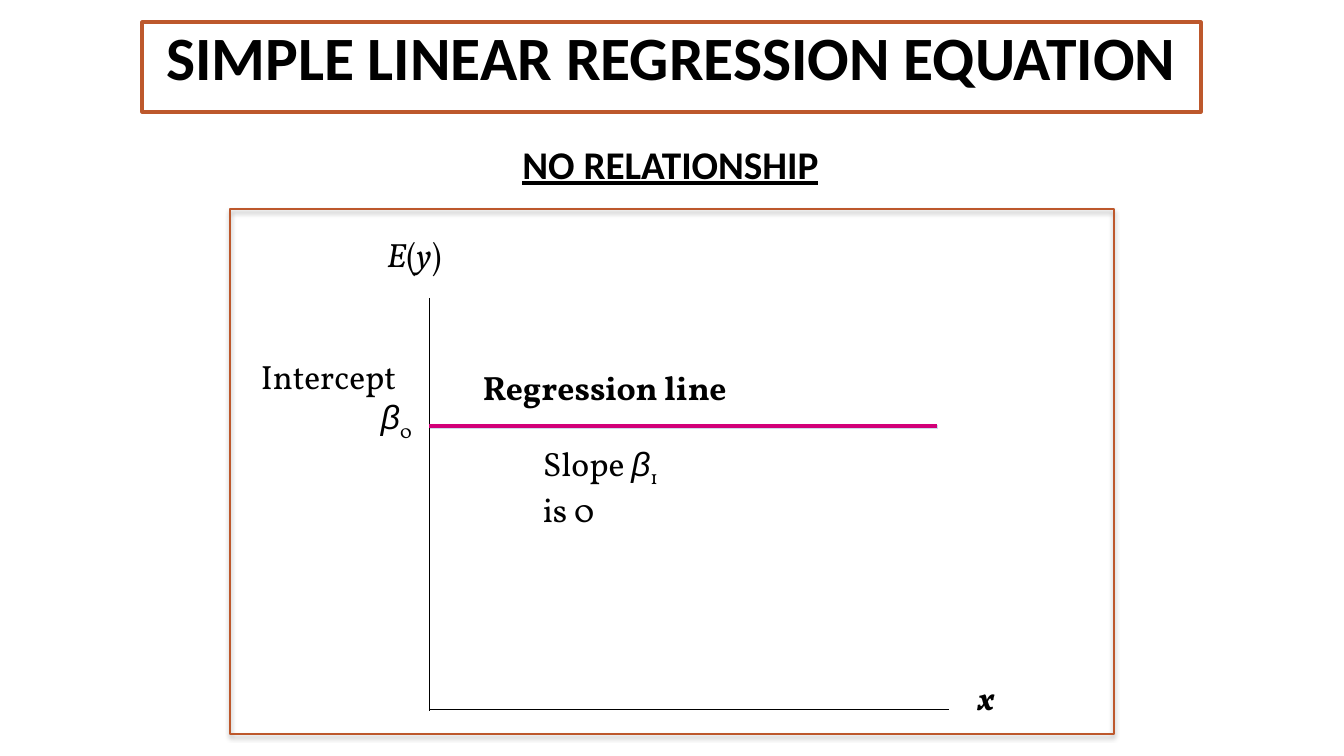
from pptx import Presentation
from pptx.dml.color import RGBColor as Rgb
from pptx.enum.shapes import MSO_CONNECTOR as Conn, MSO_SHAPE as Kind
from pptx.enum.text import MSO_ANCHOR as Anchor, MSO_AUTO_SIZE as Fit, PP_ALIGN as Align
from pptx.oxml import parse_xml
from pptx.oxml.ns import nsdecls
from pptx.util import Pt

WIDE, HIGH = 1344, 756
PX = 12192000 / WIDE
HEX = {"ink": "000000", "frame": "BD582C", "trend": "D20078", "shade": "CCDDEA"}

# Run formats
BODY = {"name": "Vollkorn", "size": Pt(24)}
SLANT = {**BODY, "italic": True}
BOLD = {**BODY, "bold": True}
GREEK = {**SLANT, "name": "Arial"}
SUB = {**BODY, "sub": True}
HEAD = {"name": "Calibri", "size": Pt(44), "bold": True}
SUBHEAD = {**HEAD, "size": Pt(28), "underline": True}


def emu(*nums):
    return [round(n * PX) for n in nums]


def shade(shape, tint=None, alpha=100, blur=0, dist=0, angle=0):
    """Set the shadow; with no tint, clear it."""
    inner = ""
    if tint:
        inner = (f'<a:outerShdw blurRad="{Pt(blur)}" dist="{Pt(dist)}" '
                 f'dir="{angle * 60000}" algn="tl" rotWithShape="0">'
                 f'<a:srgbClr val="{HEX[tint]}"><a:alpha val="{alpha * 1000}"/>'
                 '</a:srgbClr></a:outerShdw>')
    shape._element.spPr.append(
        parse_xml(f'<a:effectLst {nsdecls("a")}>{inner}</a:effectLst>'))


def edge(shape, color, width):
    shape.line.color.rgb = Rgb.from_string(HEX[color])
    shape.line.width = Pt(width)


def write(shape, lines, **frame):
    """Fill a shape with lines, each a list of (words, format) runs."""
    text = shape.text_frame
    for key, value in frame.items():
        setattr(text, key, value)
    for i, runs in enumerate(lines):
        para = text.add_paragraph() if i else text.paragraphs[0]
        for words, form in runs:
            run = para.add_run()
            run.text = words
            run.font.color.rgb = Rgb.from_string(HEX["ink"])
            for key, value in form.items():
                if key == "sub":
                    run._r.get_or_add_rPr().set("baseline", "-25000")
                else:
                    setattr(run.font, key, value)
    return text.paragraphs


def label(parts, box, lines, wrap=True):
    shape = parts.add_textbox(*emu(*box))
    return write(shape, lines, word_wrap=wrap, auto_size=Fit.SHAPE_TO_FIT_TEXT)


def rule(parts, start, end, color, width, **shadow):
    line = parts.add_connector(Conn.STRAIGHT, *emu(*start, *end))
    edge(line, color, width)
    shade(line, **shadow)


def header(slide, x, y, w, h):
    # Framed title
    title = slide.shapes.title
    title.left, title.top, title.width, title.height = emu(x, y, w, h)
    title.fill.background()
    edge(title, "frame", 2.25)
    para = write(title, [[("SIMPLE LINEAR REGRESSION EQUATION", HEAD)]],
                 vertical_anchor=Anchor.TOP, auto_size=Fit.NONE)[0]
    para.alignment, para.line_spacing = Align.CENTER, 0.9

    # Subtitle
    para = label(slide.shapes, (x + 18, y + 113, w - 38, 57),
                 [[("NO RELATIONSHIP", SUBHEAD)]])[0]
    para.alignment = Align.CENTER


def graph(slide, x, y, w, h):
    # Panel
    shapes = slide.shapes
    panel = shapes.add_shape(Kind.RECTANGLE, *emu(x, y, w, h))
    panel.fill.background()
    edge(panel, "frame", 1.5)
    shade(panel, "ink", 32, 3.5, 2.2, 90)

    # Axes with their names
    left, base, level = x + 199, y + 500, y + 217
    axes = shapes.add_group_shape().shapes
    rule(axes, (left, y + 89), (left, base + 2), "ink", 0.5)
    label(axes, (left - 52, y + 20, 113, 61),
          [[("E", SLANT), ("(", BODY), ("y", SLANT), (")", BODY)]], False)
    rule(axes, (left + 520, base), (left, base), "ink", 0.5)
    label(axes, (left + 539, base - 37, 52, 61),
          [[("x", {**SLANT, "bold": True})]], False)

    # Regression line
    rule(shapes, (left, level), (left + 508, level), "trend", 3,
         tint="shade", dist=1.4, angle=45)

    # Notes on the line
    label(shapes, (left + 104, level + 12, 200, 92),
          [[("Slope ", BODY), ("β", GREEK), ("1", SUB)], [("is 0", BODY)]])
    label(shapes, (left + 44, level - 64, 363, 50), [[("Regression line", BOLD)]])
    paras = label(shapes, (left - 178, level - 75, 226, 92),
                  [[("Intercept", BODY)], [("β", GREEK), ("0", SUB)]])
    paras[1]._p.get_or_add_pPr().set("marL", str(round(120 * PX)))


def main():
    deck = Presentation()
    deck.slide_width, deck.slide_height = emu(WIDE, HIGH)
    slide = deck.slides.add_slide(deck.slide_layouts[5])
    header(slide, 142, 22, 1059, 90)
    graph(slide, 230, 209, 884, 525)
    deck.save("out.pptx")


if __name__ == "__main__":
    main()
